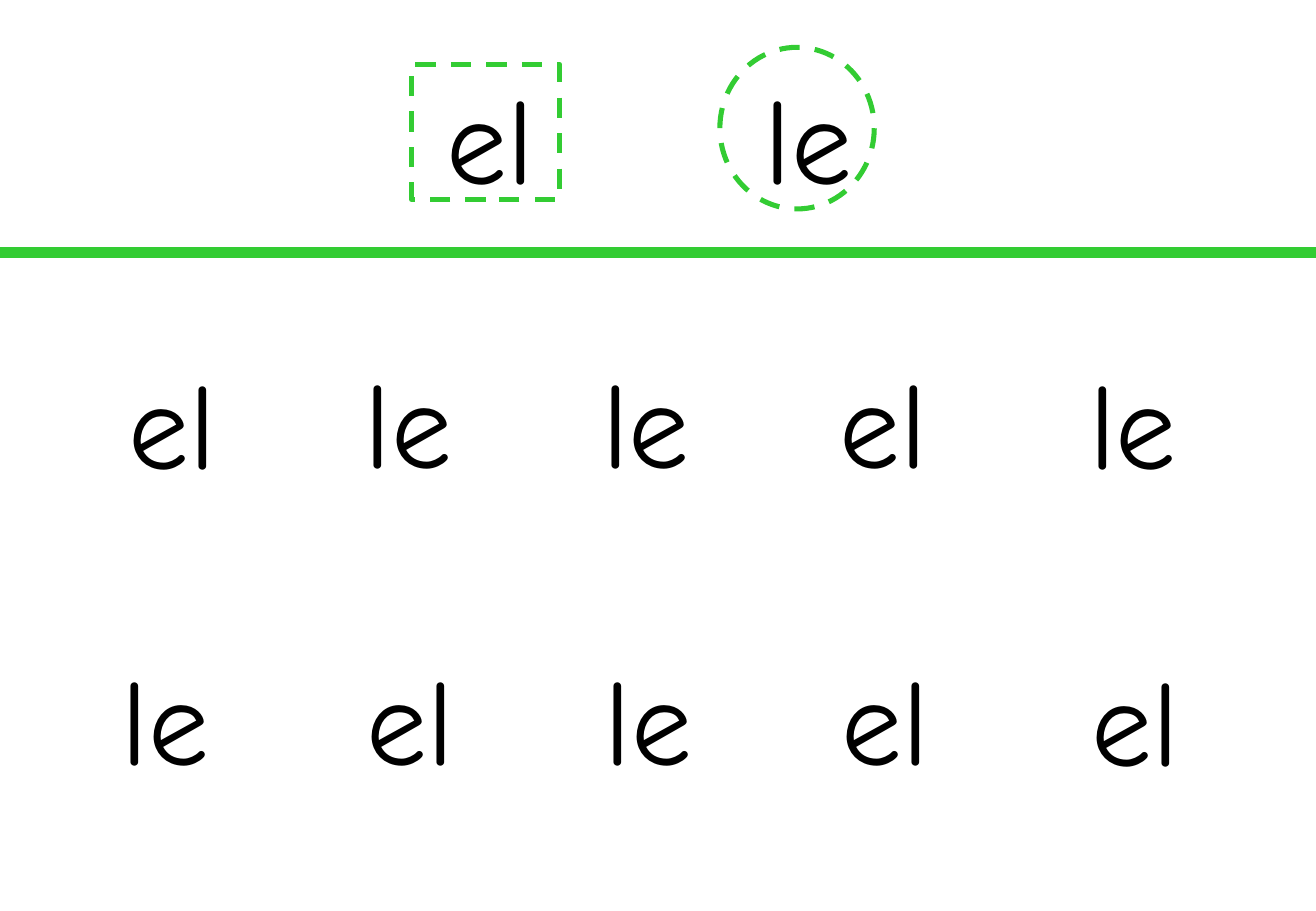
from pptx import Presentation
from pptx import util as u
from pptx.dml.color import RGBColor
from pptx.enum import dml, shapes, text
from pptx.oxml.ns import qn
from lxml import etree

GREEN = RGBColor(0x33, 0xCC, 0x33)
BLACK = RGBColor(0, 0, 0)
FONT = "Comic Neue"
PAGE_WIDTH, PAGE_HEIGHT = 27.53, 19.05
WORD_WIDTH, WORD_HEIGHT = 2.34, 3.3

# Each word with its left and top in centimetres
KEY_WORDS = [("el", 9.09, 1.19), ("le", 15.75, 1.19)]
SORTING_WORDS = [
    ("el", 2.44, 7.16), ("le", 7.37, 7.14), ("le", 12.34, 7.14),
    ("el", 17.3, 7.14), ("le", 22.53, 7.16),
    ("le", 2.29, 13.34), ("el", 7.42, 13.34), ("le", 12.4, 13.34),
    ("el", 17.35, 13.34), ("el", 22.58, 13.36),
]


def add_word(page, word, left, top, size=72, color=BLACK, align=text.PP_ALIGN.CENTER):
    box = page.shapes.add_textbox(u.Cm(left), u.Cm(top), u.Cm(WORD_WIDTH), u.Cm(WORD_HEIGHT))
    frame = box.text_frame
    frame.word_wrap = False
    frame.auto_size = text.MSO_AUTO_SIZE.SHAPE_TO_FIT_TEXT
    para = frame.paragraphs[0]
    para.alignment = align
    span = para.add_run()
    span.text = word
    span.font.name = FONT
    span.font.size = u.Pt(size)
    span.font.color.rgb = color


def add_dashed_outline(page, kind, left, top, width, height):
    outline = page.shapes.add_shape(kind, u.Cm(left), u.Cm(top), u.Cm(width), u.Cm(height))
    outline.shadow.inherit = False
    outline.fill.background()
    outline.line.color.rgb = GREEN
    outline.line.width = u.Pt(3)
    outline.line.dash_style = dml.MSO_LINE.DASH


def add_divider(page, top):
    divider = page.shapes.add_connector(
        shapes.MSO_CONNECTOR.STRAIGHT, 0, u.Cm(top), u.Cm(PAGE_WIDTH), u.Cm(top))
    divider.line.color.rgb = GREEN
    divider.line.width = u.Pt(6)
    etree.SubElement(divider._element.spPr, qn("a:effectLst"))


def main():
    deck = Presentation()
    deck.slide_width, deck.slide_height = u.Cm(PAGE_WIDTH), u.Cm(PAGE_HEIGHT)
    page = deck.slides.add_slide(deck.slide_layouts[6])

    add_divider(page, 5.28)
    for word, left, top in KEY_WORDS:
        add_word(page, word, left, top, align=text.PP_ALIGN.LEFT)
    for word, left, top in SORTING_WORDS:
        add_word(page, word, left, top)
    add_dashed_outline(page, shapes.MSO_SHAPE.RECTANGLE, 8.61, 1.35, 3.1, 2.82)
    add_dashed_outline(page, shapes.MSO_SHAPE.OVAL, 15.06, 0.99, 3.23, 3.38)

    deck.save("out.pptx")


if __name__ == "__main__":
    main()
